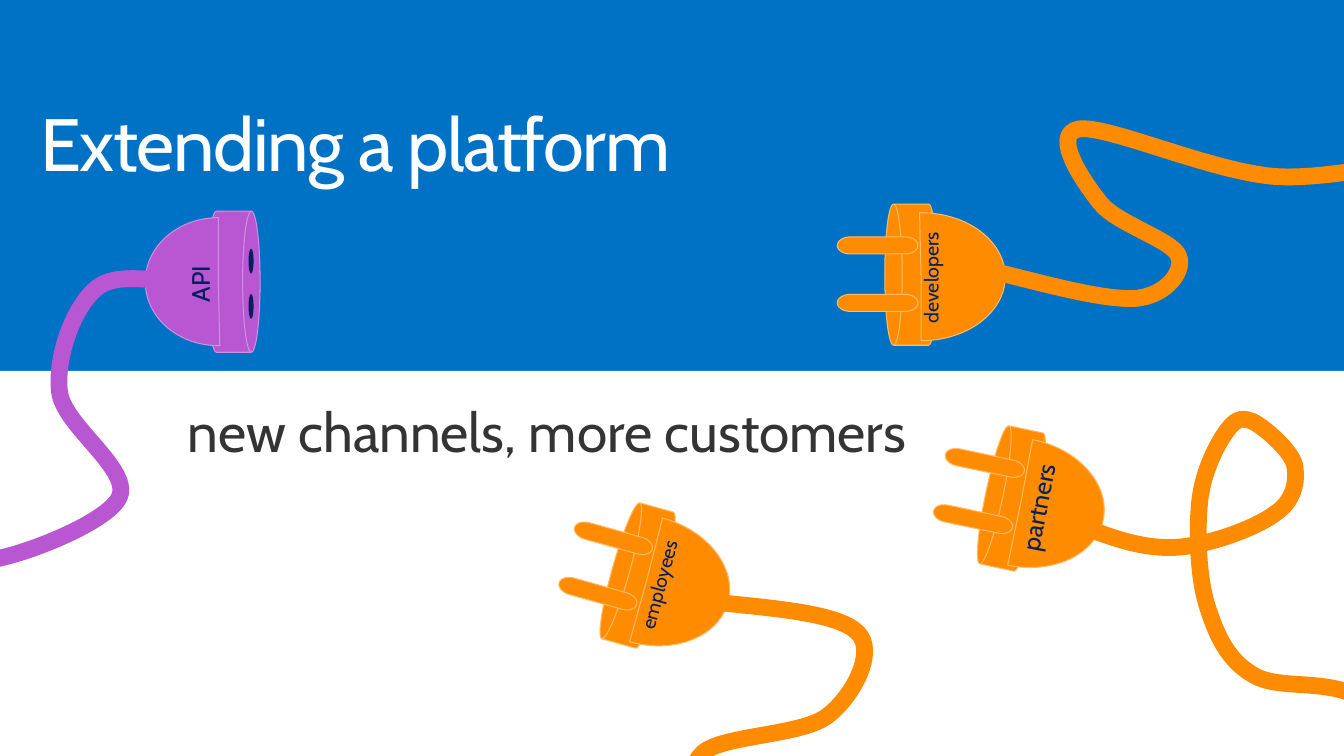
from dataclasses import dataclass
from math import cos, radians, sin

from lxml import etree
from pptx import Presentation
from pptx.dml.color import RGBColor
from pptx.enum import shapes, text
from pptx.oxml import ns
from pptx.util import Inches, Pt


@dataclass(frozen=True)
class Theme:
    font: str = "Cabin"
    blue: str = "0072C6"
    white: str = "FFFFFF"
    grey: str = "343434"
    navy: str = "002060"
    orange: str = "FF8C00"
    orange_edge: str = "FFBA66"
    purple: str = "B957D2"
    purple_edge: str = "D08FE1"
    title_size: float = 52.9
    body_size: float = 39.2
    label_size: float = 18
    small_label_size: float = 14
    edge_width: float = 0.75
    cord_width: float = 12


THEME = Theme()
PRESET = shapes.MSO_SHAPE
HALF_PIE = (53.199, 162)
# Part sizes and their centres measured from the centre of the plug body
DRUM_SIZE, DRUM_OFFSET = (0.52, 1.4), (-0.1, -0.02)
PRONG_SIZE, PRONG_OFFSETS = (0.8, 0.17), ((-0.43, -0.31), (-0.43, 0.26))


def rgb(value):
    return RGBColor.from_string(value)


def style_font(para, size, color):
    para.font.name = THEME.font
    para.font.size = Pt(size)
    para.font.color.rgb = rgb(color)


def add_part(parts, preset, center, size, fill, edge=None, rotation=0):
    (x, y), (width, height) = center, size
    part = parts.add_shape(preset, Inches(x - width / 2), Inches(y - height / 2),
                           Inches(width), Inches(height))
    part.rotation = rotation
    part.shadow.inherit = False
    part.fill.solid()
    part.fill.fore_color.rgb = rgb(fill)
    if edge:
        part.line.color.rgb = rgb(edge)
        part.line.width = Pt(THEME.edge_width)
    else:
        part.line.fill.background()
    return part


def add_half_pie(parts, center, size, fill, edge, rotation=0):
    pie = add_part(parts, PRESET.PIE, center, size, fill, edge, rotation)
    for index, angle in enumerate(HALF_PIE):
        pie.adjustments[index] = angle


def add_label(parts, center, words, size, rotation):
    width, height = 1.8, 0.6 if size == THEME.label_size else 0.54
    box = parts.add_textbox(Inches(center[0] - width / 2), Inches(center[1] - height / 2),
                            Inches(width), Inches(height))
    box.rotation = rotation
    frame = box.text_frame
    frame.word_wrap = True
    frame.auto_size = text.MSO_AUTO_SIZE.SHAPE_TO_FIT_TEXT
    frame.margin_left = frame.margin_right = Inches(0.2)
    frame.margin_top = frame.margin_bottom = Inches(0.16)
    para = frame.paragraphs[0]
    para.text = words
    para.alignment = text.PP_ALIGN.CENTER
    para.line_spacing = 0.9
    para.space_after = Pt(6)
    style_font(para, size, THEME.navy)


def add_cord(parts, start, bends, color):
    """Draw a curve; bends are Bézier points, three per segment, measured from start."""
    points = [(Inches(start[0] + x), Inches(start[1] + y)) for x, y in bends]
    builder = parts.build_freeform(Inches(start[0]), Inches(start[1]))
    builder.add_line_segments(points, close=False)
    cord = builder.convert_to_shape()
    cord.shadow.inherit = False
    cord.fill.background()
    cord.line.color.rgb = rgb(color)
    cord.line.width = Pt(THEME.cord_width)
    # Turn every three straight steps into one cubic curve
    outline = cord._element.find(".//" + ns.qn("a:path"))
    steps = outline.findall(ns.qn("a:lnTo"))
    for first in range(0, len(steps), 3):
        curve = etree.SubElement(outline, ns.qn("a:cubicBezTo"))
        for step in steps[first:first + 3]:
            curve.append(step[0])
            outline.remove(step)


def add_plug(page, box, tilt, words, size, label_shift, cord_start, bends):
    left, top, width, height = box
    middle = (left + width / 2, top + height / 2)
    turn = radians(tilt)

    def place(offset):
        x, y = offset
        return (middle[0] + x * cos(turn) - y * sin(turn),
                middle[1] + x * sin(turn) + y * cos(turn))

    parts = page.shapes.add_group_shape().shapes
    colors = (THEME.orange, THEME.orange_edge)
    add_part(parts, PRESET.FLOWCHART_DIRECT_ACCESS_STORAGE, place(DRUM_OFFSET), DRUM_SIZE,
             *colors, 180 + tilt)
    add_half_pie(parts, middle, (width, height), *colors, 180 + tilt)
    for offset in PRONG_OFFSETS:
        add_part(parts, PRESET.FLOWCHART_TERMINATOR, place(offset), PRONG_SIZE, *colors, tilt)
    add_cord(parts, (left + cord_start[0], top + cord_start[1]), bends, THEME.orange)
    add_label(parts, place((label_shift, 0.01)), words, size, 270 + int(tilt))


def add_socket(page, box, words, bends):
    left, top, width, height = box
    middle = (left + width / 2, top + height / 2)
    parts = page.shapes
    colors = (THEME.purple, THEME.purple_edge)
    add_part(parts, PRESET.FLOWCHART_DIRECT_ACCESS_STORAGE, (left + 0.88, middle[1]),
             DRUM_SIZE, *colors)
    add_half_pie(parts, middle, (width, height), *colors)
    add_cord(parts, (left + 0.57, top + 0.65), bends, THEME.purple)
    for drop in (0.43, 0.88):
        add_part(parts, PRESET.OVAL, (left + 1.05, top + drop), (0.05, 0.25), THEME.navy)
    add_label(parts, (left + 0.59, top + 0.66), words, THEME.label_size, 270)


def fill_placeholder(holder, box, words, size, color):
    holder.left, holder.top, holder.width, holder.height = map(Inches, box)
    frame = holder.text_frame
    frame.auto_size = text.MSO_AUTO_SIZE.NONE
    frame.vertical_anchor = text.MSO_ANCHOR.TOP
    para = frame.paragraphs[0]
    para.text = words
    para.alignment = text.PP_ALIGN.LEFT
    para.line_spacing = 0.9
    para.space_before = Pt(0)
    props = para._p.get_or_add_pPr()
    props.set("marL", "0")
    props.set("indent", "0")
    etree.SubElement(props, ns.qn("a:buNone"))
    style_font(para, size, color)
    return para


def add_headings(page):
    page.background.fill.solid()
    page.background.fill.fore_color.rgb = rgb(THEME.blue)
    panel = add_part(page.shapes, PRESET.RECTANGLE, (6.665, 5.59), (13.33, 3.82), THEME.white)
    page.shapes._spTree.insert(2, panel._element)  # behind the placeholders
    fill_placeholder(page.placeholders[1], (1.76, 3.97, 7.38, 1.04),
                     "new channels, more customers", THEME.body_size, THEME.grey)
    title = fill_placeholder(page.shapes.title, (0.3, 1.02, 10.91, 1),
                             "Extending a platform", THEME.title_size, THEME.white)
    title.runs[0]._r.get_or_add_rPr().set("spc", "-100")


def main():
    deck = Presentation()
    deck.slide_width, deck.slide_height = Inches(13.33), Inches(7.5)
    page = deck.slides.add_slide(deck.slide_layouts[1])
    add_headings(page)

    # Plugs of the new channels
    add_plug(page, (8.3, 2.11, 1.67, 1.27), 0, "developers", THEME.small_label_size, 0.17,
             (1.55, 0.58),
             [(0.56, 0.14), (1.11, 0.29), (1.42, 0.27), (1.72, 0.24), (1.9, 0), (1.84, -0.15),
              (1.78, -0.31), (1.22, -0.47), (1.06, -0.68), (0.9, -0.88), (0.57, -1.36),
              (0.85, -1.41), (1.14, -1.45), (2.13, -1), (2.78, -0.94), (3.42, -0.89),
              (4.41, -1.2), (4.73, -1.08)])
    add_plug(page, (5.58, 5.12, 1.67, 1.27), 15.6, "employees", THEME.small_label_size, 0.2,
             (1.56, 0.86),
             [(0.59, 0.06), (1.19, 0.11), (1.37, 0.3), (1.55, 0.48), (1.33, 0.92), (1.07, 1.12),
              (0.82, 1.32), (0.03, 1.31), (-0.17, 1.49), (-0.37, 1.68), (-0.33, 2.12),
              (-0.14, 2.24)])
    add_plug(page, (9.29, 4.35, 1.67, 1.27), 11.9, "partners", THEME.label_size, 0.22,
             (1.44, 0.87),
             [(0.31, 0.12), (0.62, 0.23), (0.94, 0.21), (1.26, 0.19), (1.72, 0.02),
              (1.91, -0.12), (2.11, -0.25), (2.14, -0.45), (2.11, -0.61), (2.07, -0.76),
              (1.8, -0.99), (1.69, -1.04), (1.57, -1.09), (1.51, -1.05), (1.42, -0.92),
              (1.33, -0.79), (1.2, -0.53), (1.17, -0.25), (1.14, 0.03), (1.15, 0.49),
              (1.24, 0.78), (1.33, 1.07), (1.44, 1.32), (1.69, 1.47), (1.94, 1.63),
              (2.39, 1.51), (2.74, 1.69)])

    # Socket of the platform
    add_socket(page, (1.44, 2.16, 1.45, 1.27), "API",
               [(0.05, 0), (0.1, 0), (-0.07, 0.01), (-0.24, 0.02), (-0.82, -0.14),
                (-1.04, 0.04), (-1.27, 0.21), (-1.46, 0.72), (-1.42, 1.07), (-1.39, 1.41),
                (-0.69, 1.85), (-0.83, 2.13), (-0.97, 2.41), (-2.05, 2.81), (-2.27, 2.75)])
    deck.save("out.pptx")


if __name__ == "__main__":
    main()
